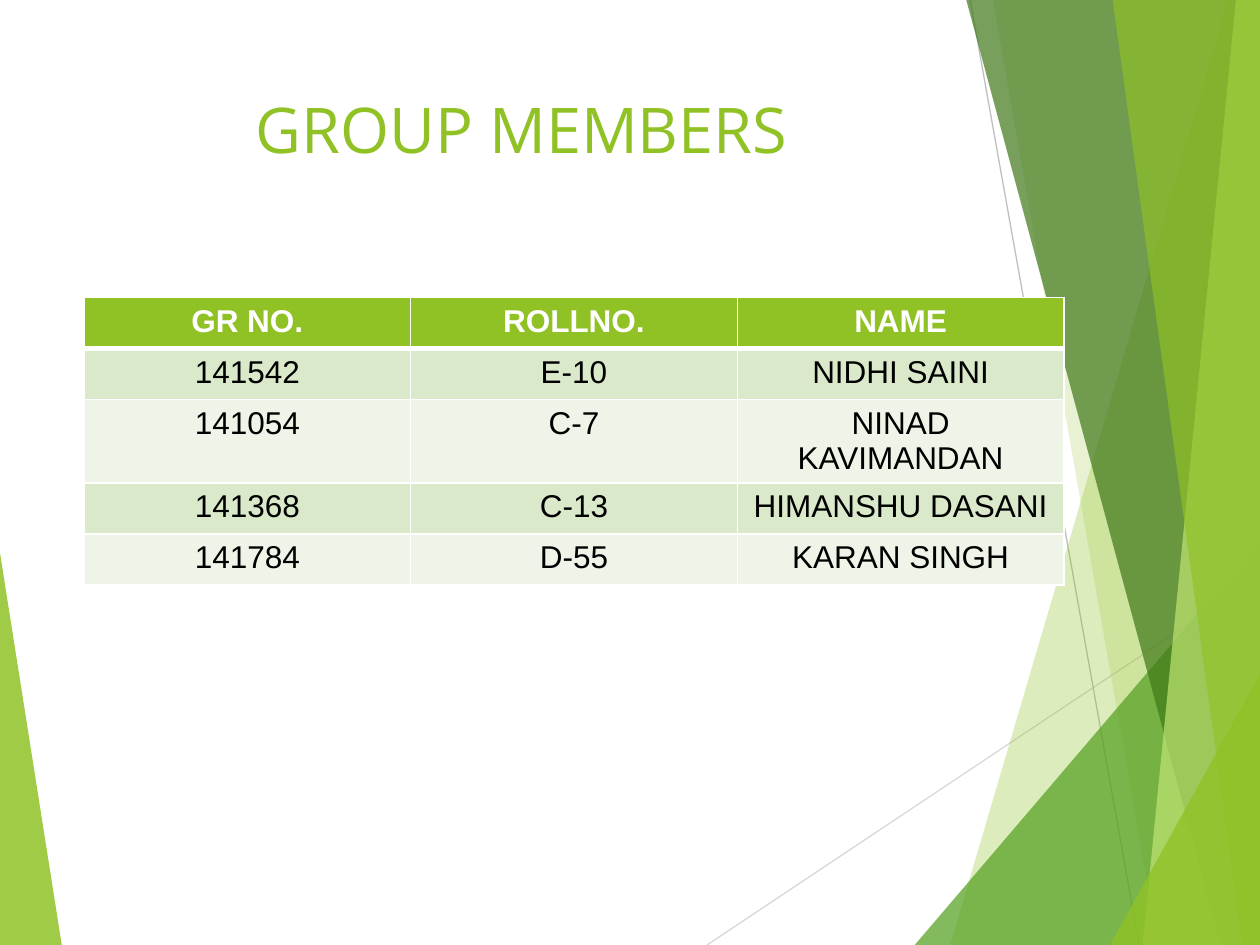
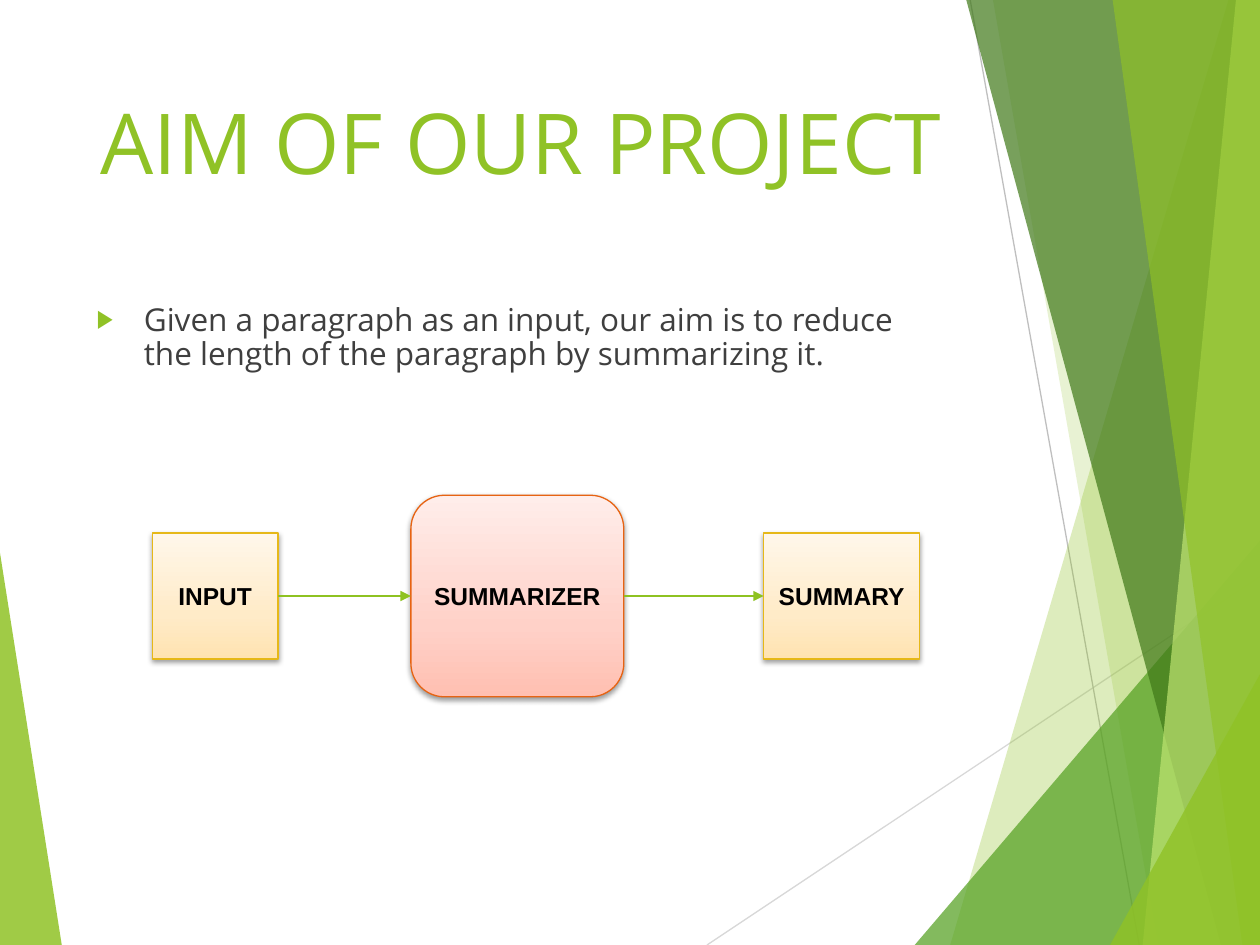
import copy
import dataclasses
from typing import Any

import lxml.etree
import pptx
import pptx.dml.color
import pptx.enum.shapes
import pptx.enum.text
import pptx.oxml.ns
import pptx.util

Pt = pptx.util.Pt
qn = pptx.oxml.ns.qn
ALIGN = pptx.enum.text.PP_ALIGN
SHAPE = pptx.enum.shapes.MSO_SHAPE
W, H = 720, 540  # slide size in points


# Theme: colours, fonts and type sizes
@dataclasses.dataclass(frozen=True)
class Theme:
    green: str = "90C226"
    leaf: str = "54A021"
    forest: str = "3F7818"
    lime: str = "BFE471"
    arrow: str = "8EC221"
    white: str = "FFFFFF"
    black: str = "000000"
    body: str = "3F3F3F"
    bands: tuple[str, str] = ("DBE9CB", "EEF4E7")
    amber: tuple[str, ...] = ("FFE3B1", "FFEBC8", "FFF7EA")
    amber_line: str = "E6B818"
    coral: tuple[str, ...] = ("FFBFB1", "FFD1C8", "FFEDEA")
    coral_line: str = "E76312"
    heading_font: str = "Open Sans"
    label_font: str = "Arial"
    text_size: int = 18
    label_size: int = 14
    hairline: float = 0.75


T = Theme()


@dataclasses.dataclass(frozen=True)
class Facet:
    points: tuple[tuple[float, float], ...]
    color: str
    opacity: int


@dataclasses.dataclass(frozen=True)
class Ray:
    start: tuple[float, float]
    end: tuple[float, float]
    color: str


@dataclasses.dataclass(frozen=True)
class Step:
    label: str
    left: float
    width: float
    height: float
    shape: Any
    stops: tuple[str, ...]
    line: str


def right_band(top_x: float, bottom_x: float, color: str, opacity: int) -> Facet:
    """Full-height facet between a slanted edge and the right slide edge."""
    return Facet(((top_x, 0), (bottom_x, H), (W, H), (W, 0)), color, opacity)


def right_corner(bottom_x: float, top_y: float, color: str, opacity: int) -> Facet:
    """Triangle in the bottom right corner."""
    return Facet(((bottom_x, H), (W, top_y), (W, H)), color, opacity)


DECOR = [
    Facet(((0, 316), (35.3, H), (0, H)), T.green, 85),
    Ray((404, H), (W, 329.4), "D8D8D8"),
    Ray((554.4, 0), (651, H), "BFBFBF"),
    right_band(702, 543, T.green, 30),
    right_band(567.4, 661.7, T.green, 20),
    right_corner(522.7, 309, T.leaf, 72),
    right_band(552.2, 697.7, T.forest, 70),
    right_band(706.3, 653, T.lime, 70),
    right_band(635.8, 710, T.green, 65),
    right_corner(634.3, 385.2, T.green, 80),
]

MEMBERS = [
    ("GR NO.", "ROLLNO.", "NAME"),
    ("141542", "E-10", "NIDHI SAINI"),
    ("141054", "C-7", "NINAD KAVIMANDAN"),
    ("141368", "C-13", "HIMANSHU DASANI"),
    ("141784", "D-55", "KARAN SINGH"),
]

STEPS_MIDDLE = 340.6
STEPS = [
    Step("INPUT", 87, 72, 72, SHAPE.RECTANGLE, T.amber, T.amber_line),
    Step("SUMMARIZER", 234.8, 121.7, 115.2, SHAPE.ROUNDED_RECTANGLE, T.coral, T.coral_line),
    Step("SUMMARY", 436.4, 89.2, 72, SHAPE.RECTANGLE, T.amber, T.amber_line),
]


# Helpers
def rgb(color: str) -> pptx.dml.color.RGBColor:
    return pptx.dml.color.RGBColor.from_string(color)


def add_xml(parent: Any, tag: str, **attrs: Any) -> Any:
    return lxml.etree.SubElement(parent, qn(tag), {k: str(v) for k, v in attrs.items()})


def write(tf: Any, text: str, *, size: float, color: str, font: str = T.label_font,
          bold: bool = False, align: Any = ALIGN.CENTER) -> Any:
    p = tf.paragraphs[0]
    p.alignment = align
    r = p.add_run()
    r.text = text
    r.font.size, r.font.name, r.font.bold = Pt(size), font, bold
    r.font.color.rgb = rgb(color)
    return p


def place(sp: Any, left: float, top: float, width: float, height: float) -> None:
    sp.left, sp.top, sp.width, sp.height = Pt(left), Pt(top), Pt(width), Pt(height)


def style_line(cxn: Any, color: str, arrow: bool = False) -> None:
    cxn.line.color.rgb = rgb(color)
    cxn.line.width = Pt(T.hairline)
    if arrow:
        add_xml(cxn.line._get_or_add_ln(), "a:tailEnd", type="triangle")
    add_xml(cxn.element.spPr, "a:effectLst")


# Shared background, drawn once and moved to the slide master
def draw_facet(shapes: Any, facet: Facet) -> Any:
    first, *rest = [(Pt(x), Pt(y)) for x, y in facet.points]
    builder = shapes.build_freeform(*first)
    builder.add_line_segments(rest)
    sp = builder.convert_to_shape()
    sp.shadow.inherit = False
    sp.line.fill.background()
    sp.fill.solid()
    sp.fill.fore_color.rgb = rgb(facet.color)
    clr = sp.element.spPr.find(".//" + qn("a:srgbClr"))
    add_xml(clr, "a:alpha", val=facet.opacity * 1000)
    return sp


def draw_ray(shapes: Any, ray: Ray) -> Any:
    ends = [Pt(v) for v in ray.start + ray.end]
    cxn = shapes.add_connector(pptx.enum.shapes.MSO_CONNECTOR.STRAIGHT, *ends)
    style_line(cxn, ray.color)
    return cxn


def decorate_master(prs: Any, slide: Any) -> None:
    tree = prs.slide_master.shapes.element
    for i, item in enumerate(DECOR):
        draw = draw_facet if isinstance(item, Facet) else draw_ray
        sp = draw(slide.shapes, item)
        sp.element.xpath(".//p:cNvPr")[0].set("id", str(100 + i))
        tree.insert(2 + i, sp.element)


def set_title(slide: Any, text: str, size: float) -> None:
    sp = slide.shapes.title
    place(sp, 48, 48, 500, 104)
    tf = sp.text_frame
    tf.auto_size = pptx.enum.text.MSO_AUTO_SIZE.NONE
    tf.vertical_anchor = pptx.enum.text.MSO_ANCHOR.TOP
    write(tf, text, size=size, color=T.green, font=T.heading_font)


# Slide 1: table of members
def set_borders(cell: Any, top: float, bottom: float) -> None:
    tc_pr = cell._tc.get_or_add_tcPr()
    widths = {"a:lnL": 1, "a:lnR": 1, "a:lnT": top, "a:lnB": bottom}
    for i, (tag, width) in enumerate(widths.items()):
        ln = add_xml(tc_pr, tag, w=Pt(width))
        add_xml(add_xml(ln, "a:solidFill"), "a:srgbClr", val=T.white)
        tc_pr.insert(i, ln)


def add_members(slide: Any) -> None:
    rows, cols = len(MEMBERS), len(MEMBERS[0])
    frame = slide.shapes.add_table(rows, cols, Pt(48), Pt(170), Pt(560), Pt(29.2 * rows))
    for i, record in enumerate(MEMBERS):
        header = i == 0
        for j, text in enumerate(record):
            cell = frame.table.cell(i, j)
            cell.fill.solid()
            cell.fill.fore_color.rgb = rgb(T.green if header else T.bands[(i - 1) % 2])
            set_borders(cell, top=3 if i == 1 else 1, bottom=3 if header else 1)
            write(cell.text_frame, text, size=T.text_size, bold=header,
                  color=T.white if header else T.black)


# Slide 2: aim and process
def add_aim(slide: Any, text: str) -> None:
    sp = slide.placeholders[1]
    place(sp, 48, 170, 500, 305)
    sp.text_frame.auto_size = pptx.enum.text.MSO_AUTO_SIZE.NONE
    p = write(sp.text_frame, text, size=T.text_size, color=T.body,
              font=T.heading_font, align=ALIGN.LEFT)
    p.space_before = Pt(0)
    p.line_spacing = 0.9
    p_pr = p._p.get_or_add_pPr()
    p_pr.set("marL", str(Pt(27)))
    p_pr.set("indent", str(-Pt(27)))
    add_xml(add_xml(p_pr, "a:buClr"), "a:srgbClr", val=T.green)
    add_xml(p_pr, "a:buSzPct", val=80000)
    add_xml(p_pr, "a:buFont", typeface=T.label_font)
    add_xml(p_pr, "a:buChar", char="▶")


def add_step(slide: Any, step: Step) -> Any:
    top = STEPS_MIDDLE - step.height / 2
    sp = slide.shapes.add_shape(step.shape, Pt(step.left), Pt(top), Pt(step.width), Pt(step.height))
    sp.line.color.rgb = rgb(step.line)
    sp.line.width = Pt(T.hairline)
    # Three-stop gradient, darkest at the bottom
    sp.fill.gradient()
    sp.fill.gradient_angle = 90
    gs_lst = sp.element.spPr.find(".//" + qn("a:gsLst"))
    gs_lst.append(copy.deepcopy(gs_lst[-1]))
    for stop, position, color in zip(sp.fill.gradient_stops, (0, 0.35, 1), step.stops):
        stop.position = position
        stop.color.rgb = rgb(color)
    # Soft shadow below
    sp.shadow.inherit = False
    shadow = add_xml(sp.element.spPr.find(qn("a:effectLst")), "a:outerShdw", blurRad=Pt(3.1),
                     dist=Pt(1.6), dir=90 * 60000, rotWithShape=0)
    add_xml(add_xml(shadow, "a:srgbClr", val=T.black), "a:alpha", val=38000)
    sp.text_frame.vertical_anchor = pptx.enum.text.MSO_ANCHOR.MIDDLE
    write(sp.text_frame, step.label, size=T.label_size, color=T.black, bold=True)
    return sp


def add_process(slide: Any) -> None:
    boxes = [add_step(slide, step) for step in STEPS]
    for source, target in zip(boxes, boxes[1:]):
        cxn = slide.shapes.add_connector(pptx.enum.shapes.MSO_CONNECTOR.STRAIGHT, 0, 0, 0, 0)
        cxn.begin_connect(source, 3)
        cxn.end_connect(target, 1)
        style_line(cxn, T.arrow, arrow=True)


def main() -> None:
    prs = pptx.Presentation()
    prs.slide_width, prs.slide_height = Pt(W), Pt(H)

    members = prs.slides.add_slide(prs.slide_layouts[5])
    decorate_master(prs, members)
    set_title(members, "GROUP MEMBERS", 36)
    add_members(members)

    aim = prs.slides.add_slide(prs.slide_layouts[1])
    set_title(aim, "AIM OF OUR PROJECT", 48)
    add_aim(aim, "Given a paragraph as an input, our aim is to reduce the length "
                 "of the paragraph by summarizing it.")
    add_process(aim)

    prs.save("out.pptx")


if __name__ == "__main__":
    main()
